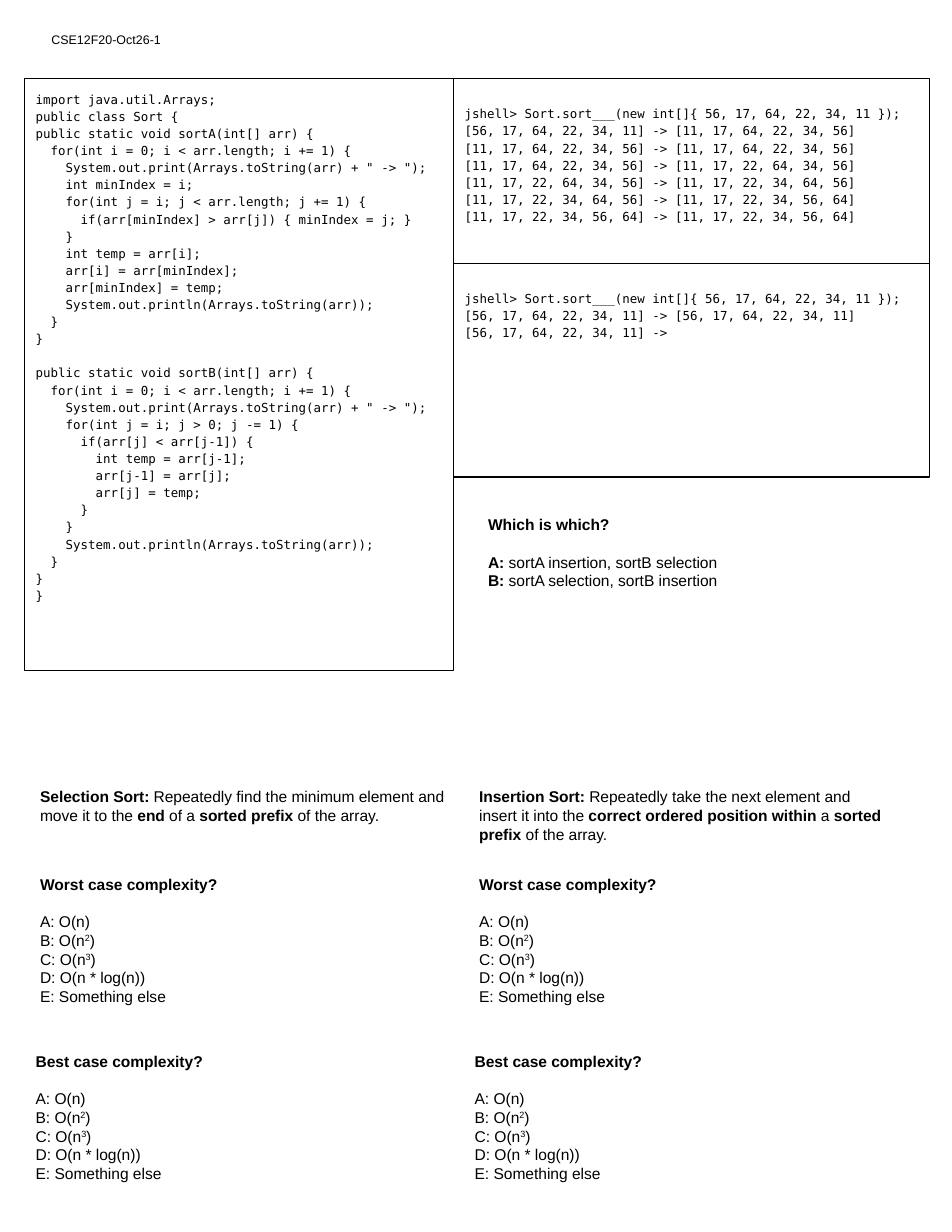
from dataclasses import dataclass

from pptx import Presentation
from pptx.dml.color import RGBColor
from pptx.enum.shapes import MSO_SHAPE
from pptx.enum.text import MSO_ANCHOR, PP_ALIGN
from pptx.util import Inches, Pt

# Content: **bold**, ^superscript^; an empty line becomes spacing
HEADER = "CSE12F20-Oct26-1"

SORT_CODE = """\
import java.util.Arrays;
public class Sort {
public static void sortA(int[] arr) {
  for(int i = 0; i < arr.length; i += 1) {
    System.out.print(Arrays.toString(arr) + " -> ");
    int minIndex = i;
    for(int j = i; j < arr.length; j += 1) {
      if(arr[minIndex] > arr[j]) { minIndex = j; }
    }
    int temp = arr[i];
    arr[i] = arr[minIndex];
    arr[minIndex] = temp;
    System.out.println(Arrays.toString(arr));
  }
}

public static void sortB(int[] arr) {
  for(int i = 0; i < arr.length; i += 1) {
    System.out.print(Arrays.toString(arr) + " -> ");
    for(int j = i; j > 0; j -= 1) {
      if(arr[j] < arr[j-1]) {
        int temp = arr[j-1];
        arr[j-1] = arr[j];
        arr[j] = temp;
      }
    }
    System.out.println(Arrays.toString(arr));
  }
}
}"""

JSHELL_CALL = "jshell> Sort.sort___(new int[]{ 56, 17, 64, 22, 34, 11 });\n"
FIRST_TRACE = JSHELL_CALL + """\
[56, 17, 64, 22, 34, 11] -> [11, 17, 64, 22, 34, 56]
[11, 17, 64, 22, 34, 56] -> [11, 17, 64, 22, 34, 56]
[11, 17, 64, 22, 34, 56] -> [11, 17, 22, 64, 34, 56]
[11, 17, 22, 64, 34, 56] -> [11, 17, 22, 34, 64, 56]
[11, 17, 22, 34, 64, 56] -> [11, 17, 22, 34, 56, 64]
[11, 17, 22, 34, 56, 64] -> [11, 17, 22, 34, 56, 64]"""
SECOND_TRACE = JSHELL_CALL + """\
[56, 17, 64, 22, 34, 11] -> [56, 17, 64, 22, 34, 11]
[56, 17, 64, 22, 34, 11] ->"""

WHICH = """\
**Which is which?**

**A:** sortA insertion, sortB selection
**B:** sortA selection, sortB insertion"""

DEFINITIONS = [
    "**Selection Sort:** Repeatedly find the minimum element and move it to "
    "the **end** of a **sorted prefix** of the array.",
    "**Insertion Sort:** Repeatedly take the next element and insert it into "
    "the **correct ordered position within** a **sorted prefix** of the array.",
]
CHOICES = """

A: O(n)
B: O(n^2^)
C: O(n^3^)
D: O(n * log(n))
E: Something else"""


@dataclass(frozen=True)
class Theme:
    ink: RGBColor = RGBColor(0, 0, 0)
    paper: RGBColor = RGBColor(255, 255, 255)
    sans: str = "Arial"
    mono: str = "DejaVu Sans Mono"
    small: int = 8
    body: int = 10
    code_gap: int = 11
    body_gap: int = 12
    code_spacing: float = 1.15
    border: float = 0.75


THEME = Theme()
INSET = 0.1
TRACE_INSET = 0.23
COLUMN_WIDTH = 3.83
COLUMN_STEP = 3.92
QUESTION_HEIGHTS = (1.32, 1.21)


def add_spans(para, line):
    for i, piece in enumerate(line.split("**")):
        for j, text in enumerate(piece.split("^")):
            if not text:
                continue
            span = para.add_run()
            span.text = text
            if i % 2:
                span.font.bold = True
            if j % 2:
                span._r.get_or_add_rPr().set("baseline", "30000")


def write(box, text, font, size, gap, spacing=None, top=INSET):
    frame = box.text_frame
    frame.word_wrap = True
    frame.vertical_anchor = MSO_ANCHOR.TOP
    frame.margin_left = frame.margin_right = frame.margin_bottom = Inches(INSET)
    frame.margin_top = Inches(top)
    para, after_blank = None, False
    for line in text.split("\n"):
        if not line:
            after_blank = True
            continue
        para = frame.add_paragraph() if para else frame.paragraphs[0]
        add_spans(para, line)
        para.alignment = PP_ALIGN.LEFT
        if spacing:
            para.line_spacing = spacing
        if after_blank:
            para.space_before = Pt(gap)
        after_blank = False
        para.font.name = font
        para.font.size = Pt(size)
        para.font.color.rgb = THEME.ink


def add_text(page, text, left, top, width, height, size=THEME.body):
    box = page.shapes.add_textbox(*map(Inches, (left, top, width, height)))
    write(box, text, THEME.sans, size, THEME.body_gap)


def add_code(page, text, left, top, width, height, inset=INSET):
    box = page.shapes.add_shape(
        MSO_SHAPE.RECTANGLE, *map(Inches, (left, top, width, height)))
    box.shadow.inherit = False
    box.fill.background()
    box.line.color.rgb = THEME.ink
    box.line.width = Pt(THEME.border)
    write(box, text, THEME.mono, THEME.small, THEME.code_gap,
          THEME.code_spacing, inset)


def main():
    deck = Presentation()
    deck.slide_width, deck.slide_height = Inches(8.5), Inches(11)
    page = deck.slides.add_slide(deck.slide_layouts[6])
    page.background.fill.solid()
    page.background.fill.fore_color.rgb = THEME.paper

    # Header, code and the two traces
    add_text(page, HEADER, 0.36, 0.22, 1.72, 0.33, THEME.small)
    add_code(page, SORT_CODE, 0.22, 0.7, COLUMN_WIDTH, 5.29)
    add_code(page, FIRST_TRACE, 4.05, 0.7, 4.25, 1.65, TRACE_INSET)
    add_code(page, SECOND_TRACE, 4.05, 2.35, 4.25, 1.91, TRACE_INSET)
    add_text(page, WHICH, 4.26, 4.5, COLUMN_WIDTH, 0.93)

    # One column per algorithm: definition, then worst and best case
    for column, definition in enumerate(DEFINITIONS):
        shift = column * COLUMN_STEP
        add_text(page, definition, 0.26 + shift, 6.93, COLUMN_WIDTH, 0.93)
        for case, left, top in (("Worst", 0.26, 7.71), ("Best", 0.22, 9.29)):
            add_text(page, f"**{case} case complexity?**{CHOICES}",
                     left + shift, top, COLUMN_WIDTH, QUESTION_HEIGHTS[column])

    deck.save("out.pptx")


if __name__ == "__main__":
    main()
